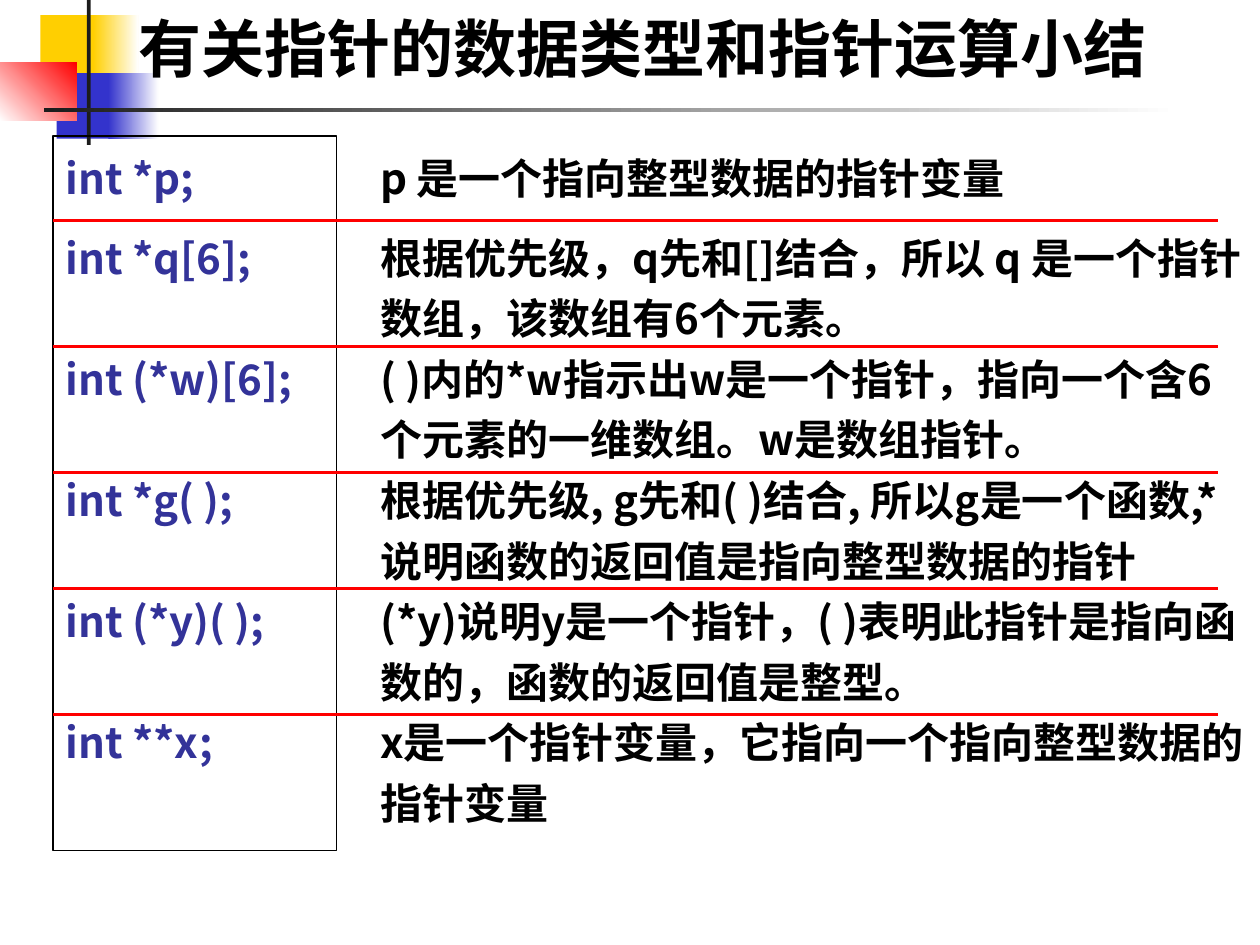
from lxml import etree
from pptx import Presentation
from pptx.dml.color import RGBColor
from pptx.enum import shapes, text
from pptx.oxml import ns
from pptx.util import Emu, Pt

SCALE = 9144  # EMU in one px, 100 px to the inch
BLACK, WHITE, RED = "000000", "FFFFFF", "FF0000"
GOLD, BLUE, INK, CODE = "FFCF01", "3333CC", "1C1C1C", "333399"
CJK = "Noto Sans CJK SC"


def px(length):
    return Emu(length * SCALE)


def color(value):
    return RGBColor.from_string(value)


class PointerSlide:
    def __init__(self):
        self.deck = Presentation()
        self.deck.slide_width, self.deck.slide_height = px(1000), px(750)
        self.page = self.deck.slides.add_slide(self.deck.slide_layouts[6])

    def block(self, place, fill=None, fade=None, angle=0, outline=None):
        """Rectangle, either plain or fading from one colour to another."""
        box = self.page.shapes.add_shape(
            shapes.MSO_SHAPE.RECTANGLE, *map(px, place))
        box.shadow.inherit = False
        if fade:
            box.fill.gradient()
            box.fill.gradient_angle = angle
            for stop, value, position in zip(box.fill.gradient_stops, fade, (0, 1)):
                stop.color.rgb = color(value)
                stop.position = position
        elif fill:
            box.fill.solid()
            box.fill.fore_color.rgb = color(fill)
        else:
            box.fill.background()
        if outline:
            box.line.color.rgb = color(outline)
            box.line.width = Pt(0.75)
        else:
            box.line.fill.background()
        return box

    def textbox(self, place):
        return self.page.shapes.add_textbox(*map(px, place))

    def add_lines(self, box, lines, ink, pitch, size=24, font=CJK, gaps=None):
        """One bold paragraph per line, with a gap in points before each."""
        frame = box.text_frame
        frame.word_wrap = True
        frame.vertical_anchor = text.MSO_ANCHOR.TOP
        for index, line in enumerate(lines):
            para = frame.paragraphs[0] if index == 0 else frame.add_paragraph()
            para.alignment = text.PP_ALIGN.LEFT
            para.line_spacing = Pt(pitch)
            if gaps and gaps[index]:
                para.space_before = Pt(gaps[index])
            span = para.add_run()
            span.text = line
            span.font.name, span.font.size, span.font.bold = font, Pt(size), True
            span.font.color.rgb = color(ink)
            east = etree.SubElement(span.font._element, ns.qn("a:ea"))
            east.set("typeface", CJK)

    def rule(self, left, right, y):
        line = self.page.shapes.add_connector(
            shapes.MSO_CONNECTOR.STRAIGHT, px(left), px(y), px(right), px(y))
        line.line.color.rgb = color(RED)
        line.line.width = Pt(1.5)
        etree.SubElement(line._element.spPr, ns.qn("a:effectLst"))


def main():
    slide = PointerSlide()

    # Corner ornament
    slide.block((32, 12, 48, 52), fill=GOLD)
    slide.block((74, 12, 36, 52), fade=(GOLD, WHITE))
    slide.block((45, 58, 46, 52), fill=BLUE)
    slide.block((86, 58, 40, 52), fade=(BLUE, WHITE))
    slide.block((0, 50, 61, 46), fade=(WHITE, RED), angle=45)
    slide.block((69, 0, 3, 115), fill=INK)
    slide.block((35, 86, 900, 3), fade=(INK, WHITE))

    # Title
    slide.add_lines(slide.textbox((100, 0, 842, 58)),
                    ["有关指针的数据类型和指针运算小结"], BLACK, 45, size=36, font="Arial")

    # Declarations on the left, meanings on the right
    rows = [
        ("int *p;", "p 是一个指向整型数据的指针变量"),
        ("int *q[6];", "根据优先级，q先和[]结合，所以 q 是一个指针数组，该数组有6个元素。"),
        ("int (*w)[6];", "( )内的*w指示出w是一个指针，指向一个含6个元素的一维数组。w是数组指针。"),
        ("int *g( );", "根据优先级, g先和( )结合, 所以g是一个函数,*说明函数的返回值是指向整型数据的指针"),
        ("int (*y)( );", "(*y)说明y是一个指针，( )表明此指针是指向函数的，函数的返回值是整型。"),
        ("int **x;", "x是一个指针变量，它指向一个指向整型数据的指针变量"),
    ]
    declarations, meanings = zip(*rows)
    pitch, first_gap = 34.6, 11
    slide.add_lines(slide.block((42, 108, 225, 567), outline=BLACK), declarations,
                    CODE, pitch, gaps=[0, first_gap] + [pitch] * 4)
    slide.add_lines(slide.textbox((292, 108, 708, 575)), meanings,
                    BLACK, pitch, gaps=[0, first_gap] + [0] * 4)

    # Row separators
    for y in (175, 275, 375, 467, 567):
        slide.rule(42, 967, y)

    slide.deck.save("out.pptx")


if __name__ == "__main__":
    main()
